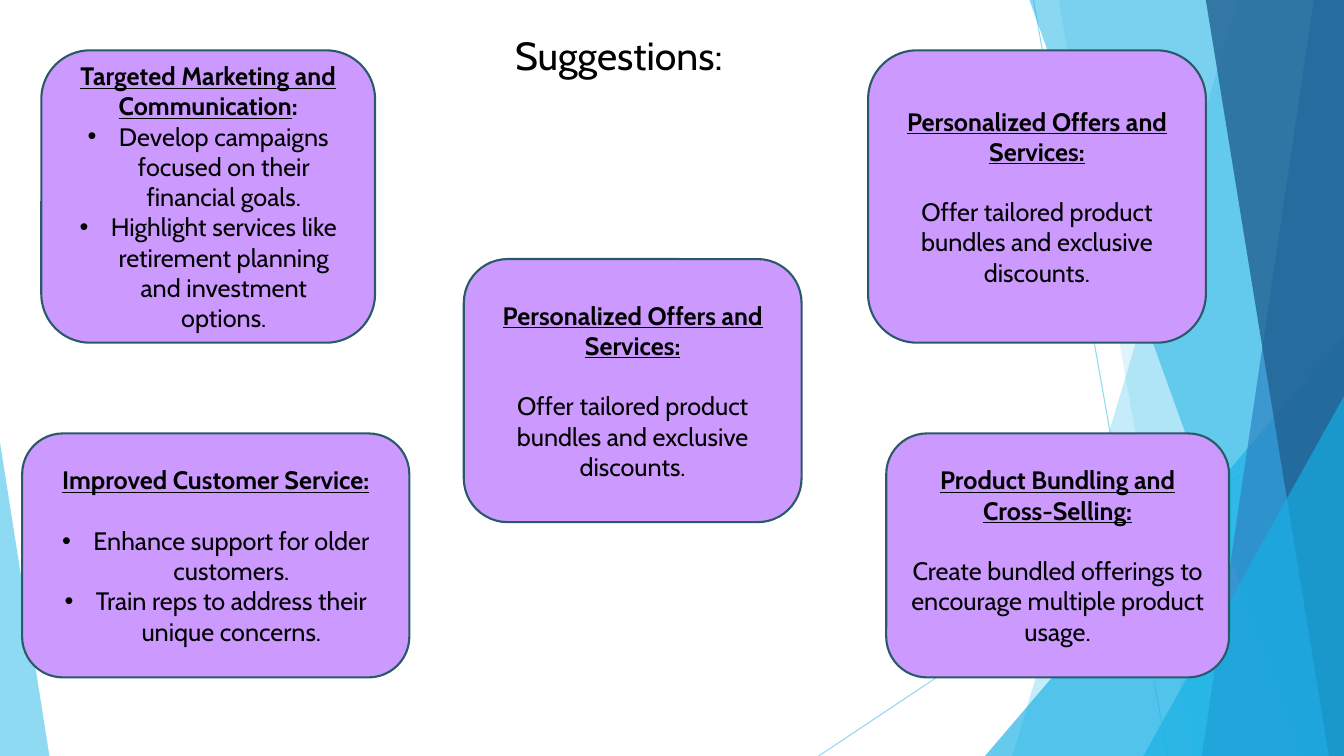
from dataclasses import dataclass

from lxml import etree
from pptx import Presentation
from pptx import util as u
from pptx.dml.color import RGBColor
from pptx.enum import shapes, text
from pptx.oxml.ns import qn


@dataclass(frozen=True)
class Theme:
    font: str = "Cabin"
    title_size: int = 28
    body_size: int = 18
    heading_gap: float = 21.6
    ink: str = "000000"
    card: str = "CC99FF"
    outline: str = "2A5969"
    sky: str = "5FCBEF"
    cyan: str = "17B0E4"
    blue: str = "2E83C3"
    navy: str = "226292"


WIDTH, HEIGHT = 13.33, 7.5
BULLET_INDENT = 0.31
OFFER = "Offer tailored product bundles and exclusive discounts."


def set_alpha(sp, percent):
    """Make every colour of a shape or connector translucent."""
    for clr in sp._element.spPr.iter(qn("a:srgbClr")):
        etree.SubElement(clr, qn("a:alpha"), val=str(percent * 1000))


def add_bullet(p):
    pPr = p._p.get_or_add_pPr()
    indent = u.Inches(BULLET_INDENT)
    pPr.set("marL", str(indent))
    pPr.set("indent", str(-indent))
    etree.SubElement(pPr, qn("a:buFont"), typeface="Arial")
    etree.SubElement(pPr, qn("a:buChar"), char="•")


def add_run(p, content, *, font, size, color, bold=False, underline=False):
    r = p.add_run()
    r.text = content
    r.font.name = font
    r.font.size = u.Pt(size)
    r.font.color.rgb = RGBColor.from_string(color)
    r.font.bold = bold
    r.font.underline = underline


class SlideBuilder:
    def __init__(self, s, theme):
        self.s = s
        self.theme = theme

    def paint(self, sp, color, alpha=None):
        sp.shadow.inherit = False
        sp.fill.solid()
        sp.fill.fore_color.rgb = RGBColor.from_string(color)
        sp.line.fill.background()
        if alpha:
            set_alpha(sp, alpha)

    def shape(self, kind, box):
        return self.s.shapes.add_shape(kind, *map(u.Inches, box))

    def line(self, start, end):
        cx = self.s.shapes.add_connector(
            shapes.MSO_CONNECTOR.STRAIGHT, *map(u.Inches, start + end))
        cx.line.color.rgb = RGBColor.from_string(self.theme.sky)
        cx.line.width = u.Pt(0.75)
        set_alpha(cx, 70)
        etree.SubElement(cx._element.spPr, qn("a:effectLst"))

    def band(self, top_x, bottom_x, color, alpha):
        """Fill from a slanted left edge to the right edge of the slide."""
        corners = [(top_x, 0), (WIDTH, 0), (WIDTH, HEIGHT), (bottom_x, HEIGHT)]
        points = [(u.Inches(x), u.Inches(y)) for x, y in corners]
        fb = self.s.shapes.build_freeform(*points[0])
        fb.add_line_segments(points[1:], close=True)
        self.paint(fb.convert_to_shape(), color, alpha)

    def triangle(self, left, top, width, apex, color, alpha):
        """Stand a triangle on the bottom edge of the slide."""
        sp = self.shape(shapes.MSO_SHAPE.ISOSCELES_TRIANGLE,
                        (left, top, width, HEIGHT - top))
        sp.adjustments[0] = apex
        self.paint(sp, color, alpha)

    def themed_run(self, p, content, size=None, **fmt):
        add_run(p, content, font=self.theme.font, color=self.theme.ink,
                size=size or self.theme.body_size, **fmt)

    def title(self, content, box):
        tf = self.s.shapes.add_textbox(*map(u.Inches, box)).text_frame
        tf.word_wrap = True
        self.themed_run(tf.paragraphs[0], content, self.theme.title_size)

    def card(self, box, heading, body, tail="", bullets=False, gap=True):
        """Draw a card; tail is the end of the heading without underline."""
        sp = self.shape(shapes.MSO_SHAPE.ROUNDED_RECTANGLE, box)
        self.paint(sp, self.theme.card)
        sp.line.color.rgb = RGBColor.from_string(self.theme.outline)
        sp.line.width = u.Pt(1.5)
        tf = sp.text_frame
        tf.word_wrap = True
        tf.vertical_anchor = text.MSO_ANCHOR.MIDDLE
        p = tf.paragraphs[0]
        p.alignment = text.PP_ALIGN.CENTER
        if gap:
            p.space_after = u.Pt(self.theme.heading_gap)
        self.themed_run(p, heading, bold=True, underline=True)
        if tail:
            self.themed_run(p, tail, bold=True)
        for content in body:
            p = tf.add_paragraph()
            p.alignment = text.PP_ALIGN.CENTER
            if bullets:
                add_bullet(p)
            self.themed_run(p, content)


def draw_backdrop(b):
    t = b.theme
    b.line((10.25, 0), (11.58, HEIGHT))
    b.line((WIDTH, 4.03), (8.12, HEIGHT))
    b.band(12.28, 10.04, t.sky, 36)
    b.band(10.5, 11.83, t.sky, 20)
    b.triangle(9.77, 3.33, 3.56, 1, t.cyan, 66)
    b.band(10.21, 12.91, t.cyan, 50)
    b.band(13.03, 11.92, t.blue, 70)
    b.band(11.96, 13.18, t.navy, 80)
    b.triangle(11.34, 3.93, 1.99, 1, t.cyan, 66)
    b.triangle(0, 4.39, 0.49, 0, t.sky, 70)


def draw_suggestions(b):
    b.title("Suggestions:", (5.01, 0.26, 2.68, 0.57))
    b.card((0.41, 0.5, 3.31, 2.9), "Targeted Marketing and Communication",
           ["Develop campaigns focused on their financial goals.",
            "Highlight services like retirement planning and investment options."],
           tail=":", bullets=True, gap=False)
    for box in ((8.61, 0.5, 3.35, 2.9), (4.6, 2.57, 3.35, 2.61)):
        b.card(box, "Personalized Offers and Services:", [OFFER])
    b.card((0.22, 4.3, 3.84, 2.42), "Improved Customer Service:",
           ["Enhance support for older customers.",
            "Train reps to address their unique concerns."], bullets=True)
    b.card((8.79, 4.3, 3.4, 2.42), "Product Bundling and Cross-Selling:",
           ["Create bundled offerings to encourage multiple product usage."])


def main():
    prs = Presentation()
    prs.slide_width, prs.slide_height = u.Inches(WIDTH), u.Inches(HEIGHT)
    b = SlideBuilder(prs.slides.add_slide(prs.slide_layouts[6]), Theme())
    draw_backdrop(b)
    draw_suggestions(b)
    prs.save("out.pptx")


if __name__ == "__main__":
    main()
